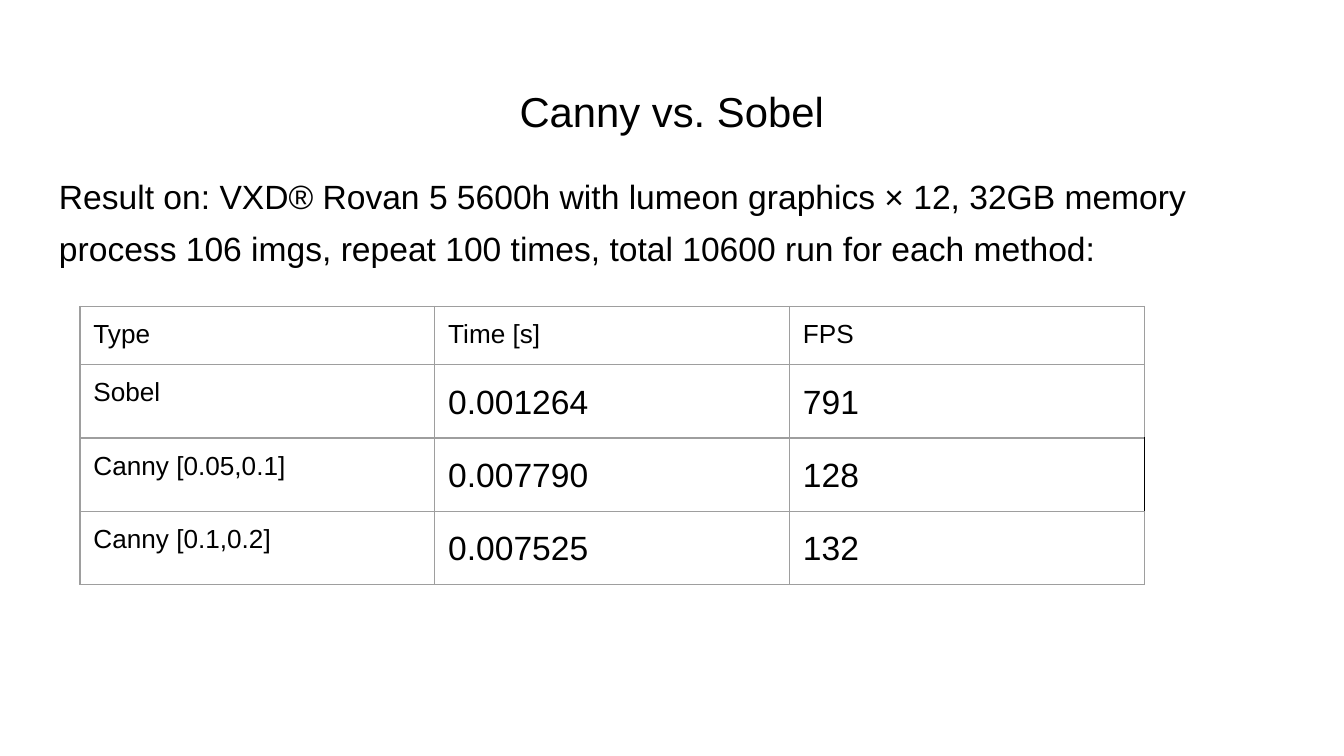
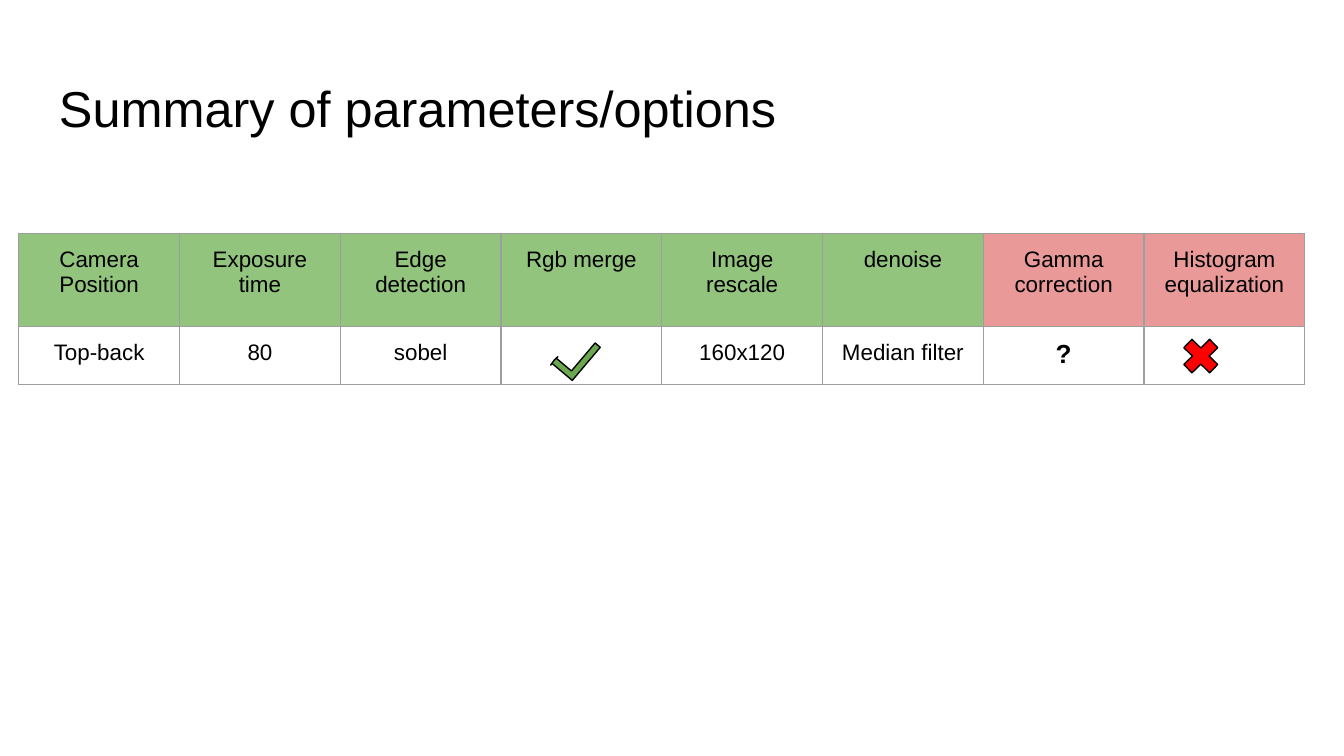
from lxml import etree
from pptx import Presentation
from pptx import util as u
from pptx.dml.color import RGBColor
from pptx.enum import shapes, text
from pptx.oxml import ns

COLOURS = {
    "ink": "000000",
    "border": "9E9E9E",
    "chosen": "93C47D",
    "rejected": "EA9999",
    "tick": "6AA84F",
    "cross": "FF0000",
}
CENTRE = text.PP_ALIGN.CENTER
LEFT = text.PP_ALIGN.LEFT


def colour(name):
    return RGBColor.from_string(COLOURS[name])


class Deck:
    FONT = "Arial"
    COLUMNS = 100
    ROWS = 56.25
    MARGIN = 3.41
    BODY_WIDTH = 93.19
    LINE = u.Pt(0.75)

    def __init__(self):
        self.presentation = Presentation()
        self.presentation.slide_width = u.Inches(10)
        self.presentation.slide_height = u.Inches(10) * 9 // 16
        self.slide = None

    def add_slide(self):
        layout = self.presentation.slide_layouts[6]
        self.slide = self.presentation.slides.add_slide(layout)

    def box(self, left, top, width, height):
        column = self.presentation.slide_width / self.COLUMNS
        row = self.presentation.slide_height / self.ROWS
        return [round(n) for n in (left * column, top * row, width * column, height * row)]

    def style(self, paragraph, size, align=LEFT, bold=False, spread=False):
        paragraph.alignment = align
        if spread:
            paragraph.line_spacing = 1.15
            paragraph.space_after = u.Pt(12)
        font = paragraph.font
        font.name, font.size, font.bold = self.FONT, u.Pt(size), bold
        font.color.rgb = colour("ink")

    def text(self, top, height, lines, size, gap=0, anchor=text.MSO_ANCHOR.TOP, **style):
        shape = self.slide.shapes.add_textbox(
            *self.box(self.MARGIN, top, self.BODY_WIDTH, height))
        frame = shape.text_frame
        frame.word_wrap = True
        frame.vertical_anchor = anchor
        frame.text = "\n".join(lines)
        for index, paragraph in enumerate(frame.paragraphs):
            if index:
                paragraph.space_before = u.Pt(gap)
            self.style(paragraph, size, **style)

    def title(self, wording, size, **style):
        self.text(4.87, 6.26, [wording], size, anchor=text.MSO_ANCHOR.MIDDLE, **style)

    def borders(self, cell, right="border"):
        sides = {"lnL": "border", "lnR": right, "lnT": "border", "lnB": "border"}
        properties = cell._tc.get_or_add_tcPr()
        for index, (side, name) in enumerate(sides.items()):
            line = etree.Element(ns.qn("a:" + side), w=str(self.LINE))
            fill = etree.SubElement(line, ns.qn("a:solidFill"))
            etree.SubElement(fill, ns.qn("a:srgbClr"), val=COLOURS[name])
            properties.insert(index, line)

    def table(self, left, top, width, heights, rows, style_of, fill_of, dark_edges=()):
        frame = self.slide.shapes.add_table(
            len(rows), len(rows[0]), *self.box(left, top, width, sum(heights)))
        table = frame.table
        table.first_row = table.horz_banding = False
        for r, (height, values) in enumerate(zip(heights, rows)):
            table.rows[r].height = self.box(0, 0, 0, height)[3]
            for c, value in enumerate(values):
                cell = table.cell(r, c)
                cell.margin_left = cell.margin_right = u.Inches(0.1)
                cell.margin_top = cell.margin_bottom = u.Inches(0.1)
                fill = fill_of(r, c)
                if fill:
                    cell.fill.solid()
                    cell.fill.fore_color.rgb = colour(fill)
                else:
                    cell.fill.background()
                self.borders(cell, "ink" if (r, c) in dark_edges else "border")
                paragraph = cell.text_frame.paragraphs[0]
                style = style_of(r, c)
                if value:
                    paragraph.text = value
                else:
                    etree.SubElement(paragraph._p, ns.qn("a:endParaRPr"),
                                     sz=str(style["size"] * 100))
                self.style(paragraph, **style)

    def symbol(self, kind, place, fill, adjustments, rotation=0, mirrored=False):
        shape = self.slide.shapes.add_shape(kind, *self.box(*place))
        shape.shadow.inherit = False
        shape.fill.solid()
        shape.fill.fore_color.rgb = colour(fill)
        shape.line.color.rgb = colour("ink")
        shape.line.width = self.LINE
        for index, value in enumerate(adjustments):
            shape.adjustments[index] = value
        shape.rotation = rotation
        if mirrored:
            shape._element.spPr.find(ns.qn("a:xfrm")).set("flipH", "1")


def comparison_slide(deck):
    deck.add_slide()
    deck.title("Canny vs. Sobel", 22.4, align=CENTRE, spread=True)
    deck.text(12.6, 9.6, [
        "Result on: VXD® Rovan 5 5600h with lumeon graphics × 12, 32GB memory",
        "process 106 imgs, repeat 100 times, total 10600 run for each method:",
    ], 18, gap=6.4)
    rows = [
        ("Type", "Time [s]", "FPS"),
        ("Sobel", "0.001264", "791"),
        ("Canny [0.05,0.1]", "0.007790", "128"),
        ("Canny [0.1,0.2]", "0.007525", "132"),
    ]

    def style_of(r, c):
        measured = r > 0 and c > 0
        return {"size": 18 if measured else 14, "spread": measured}

    deck.table(5.95, 22.8, 79.2, [4.2] * len(rows), rows, style_of,
               lambda r, c: None, dark_edges=[(2, 2)])


def summary_slide(deck):
    deck.add_slide()
    deck.title("Summary of parameters/options", 27)
    options = [
        ("Camera Position", "Top-back"),
        ("Exposure time", "80"),
        ("Edge detection", "sobel"),
        ("Rgb merge", ""),
        ("Image rescale", "160x120"),
        ("denoise", "Median filter"),
        ("Gamma correction", "?"),
        ("Histogram equalization", ""),
    ]
    rows = list(zip(*options))

    def style_of(r, c):
        unsure = rows[r][c] == "?"
        return {"size": 14 if unsure else 12, "align": CENTRE, "bold": unsure}

    def fill_of(r, c):
        if r == 0:
            return "chosen" if c < 6 else "rejected"

    deck.table(1.4, 17.4, 95.7, [6.9, 3.8], rows, style_of, fill_of)
    deck.symbol(shapes.MSO_SHAPE.MATH_MULTIPLY, (87.5, 24.7, 3.7, 3.6), "cross", [0.24])
    deck.symbol(shapes.MSO_SHAPE.BENT_UP_ARROW, (41.1, 25.5, 3.4, 2), "tick",
                [0.25, 0.21, 0.02], rotation=310.2, mirrored=True)


def main():
    deck = Deck()
    comparison_slide(deck)
    summary_slide(deck)
    deck.presentation.save("out.pptx")


if __name__ == "__main__":
    main()
